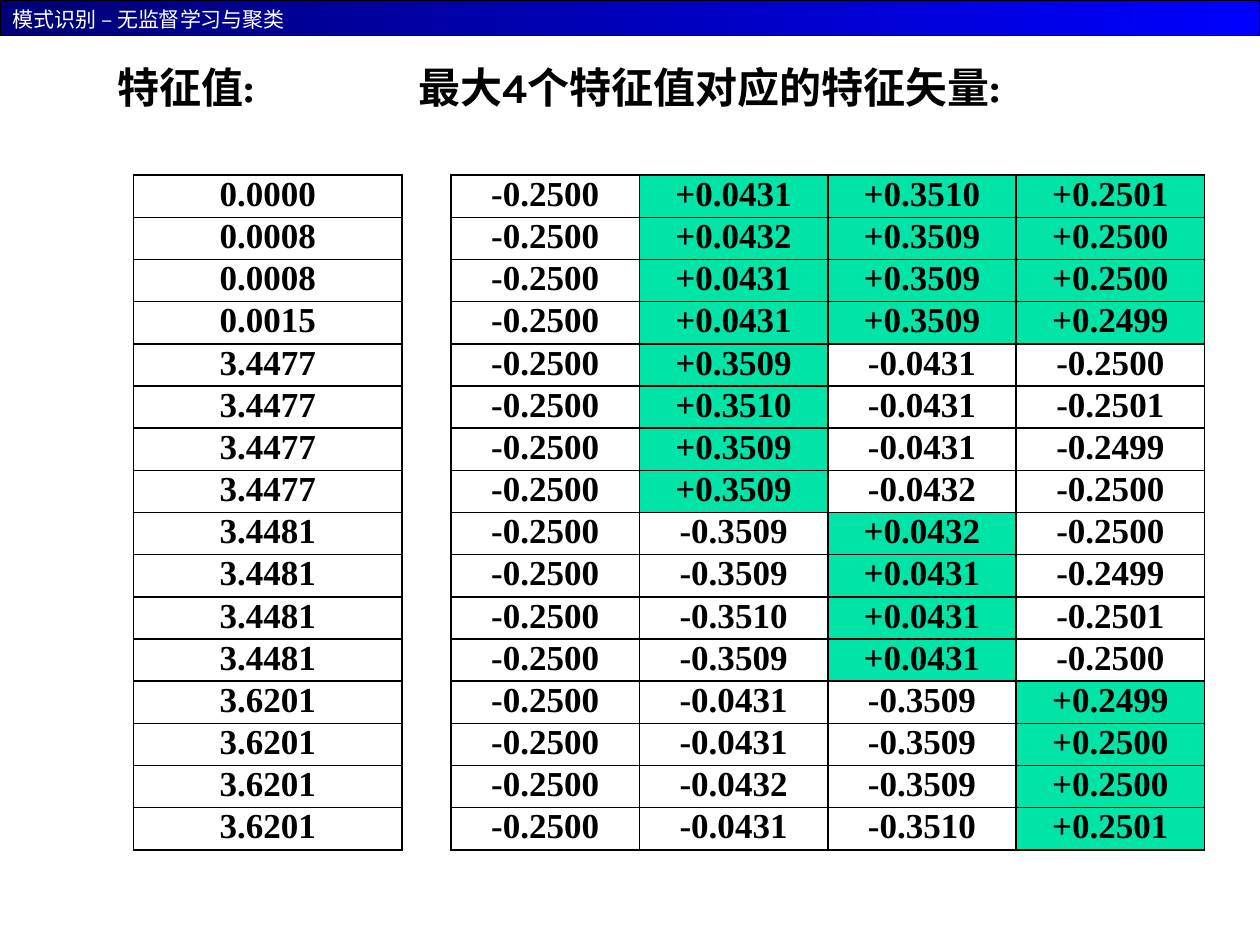
"""Build the slide of eigenvalues and their leading eigenvectors."""
from lxml import etree
from pptx import Presentation
from pptx.dml.color import RGBColor
from pptx.enum.shapes import MSO_SHAPE
from pptx.enum.text import MSO_ANCHOR, MSO_AUTO_SIZE, PP_ALIGN
from pptx.oxml.ns import qn
from pptx.util import Inches, Pt

RECTANGLE = MSO_SHAPE.RECTANGLE
MIDDLE = MSO_ANCHOR.MIDDLE
TOP = MSO_ANCHOR.TOP
NO_AUTOFIT = MSO_AUTO_SIZE.NONE
LEFT, CENTER = PP_ALIGN.LEFT, PP_ALIGN.CENTER

BLACK = RGBColor(0x00, 0x00, 0x00)
WHITE = RGBColor(0xFF, 0xFF, 0xFF)
NAVY = RGBColor(0x00, 0x00, 0x76)
BLUE = RGBColor(0x00, 0x00, 0xFF)
GREEN = RGBColor(0x00, 0xE4, 0xA8)

HEADER = [("模式识别 ", "DejaVu Sans"), ("– ", "Noto Sans CJK SC"),
          ("无监督学习与聚类", "DejaVu Sans")]
HEADINGS = ["特征值:".replace(":", ":"), "最大4个特征值对应的特征矢量:"]
EIGENVALUES = """
0.0000 0.0008 0.0008 0.0015
3.4477 3.4477 3.4477 3.4477
3.4481 3.4481 3.4481 3.4481
3.6201 3.6201 3.6201 3.6201
""".split()
EIGENVECTORS = """
-0.2500 +0.0431 +0.3510 +0.2501
-0.2500 +0.0432 +0.3509 +0.2500
-0.2500 +0.0431 +0.3509 +0.2500
-0.2500 +0.0431 +0.3509 +0.2499
-0.2500 +0.3509 -0.0431 -0.2500
-0.2500 +0.3510 -0.0431 -0.2501
-0.2500 +0.3509 -0.0431 -0.2499
-0.2500 +0.3509 -0.0432 -0.2500
-0.2500 -0.3509 +0.0432 -0.2500
-0.2500 -0.3509 +0.0431 -0.2499
-0.2500 -0.3510 +0.0431 -0.2501
-0.2500 -0.3509 +0.0431 -0.2500
-0.2500 -0.0431 -0.3509 +0.2499
-0.2500 -0.0431 -0.3509 +0.2500
-0.2500 -0.0432 -0.3509 +0.2500
-0.2500 -0.0431 -0.3510 +0.2501
""".strip().splitlines()

TABLES = [
    (1.06, 2.13, 0.08, [[value] for value in EIGENVALUES]),
    (3.58, 5.98, 0.07, [line.split() for line in EIGENVECTORS]),
]
TABLE_TOP, TABLE_HEIGHT = 1.39, 5.36
HEADING_INSET, HEADING_TAB = 0.5, 2.39


def add_span(para, text, font_name, size, color, bold=False):
    span = para.add_run()
    span.text = text
    font = span.font
    font.name, font.size, font.bold = font_name, Pt(size), bold
    font.color.rgb = color


def add_borders(cell):
    properties = cell._tc.get_or_add_tcPr()
    for index, side in enumerate(("lnL", "lnR", "lnT", "lnB")):
        line = etree.Element(qn(f"a:{side}"), w=str(Pt(1)))
        fill = etree.SubElement(line, qn("a:solidFill"))
        etree.SubElement(fill, qn("a:srgbClr"), val=str(BLACK))
        properties.insert(index, line)


def add_grid(page, left, width, inset, rows):
    columns = len(rows[0])
    frame = page.shapes.add_table(len(rows), columns, Inches(left), Inches(TABLE_TOP),
                                  Inches(width), Inches(TABLE_HEIGHT))
    table = frame.table
    table.first_row = table.horz_banding = False
    for column in table.columns:
        column.width = Inches(width / columns)
    for row, values in zip(table.rows, rows):
        row.height = Inches(TABLE_HEIGHT / len(rows))
        for cell, value in zip(row.cells, values):
            cell.margin_left = cell.margin_right = Inches(inset)
            cell.margin_top = cell.margin_bottom = 0
            cell.vertical_anchor = TOP
            if value.startswith("+"):
                cell.fill.solid()
                cell.fill.fore_color.rgb = GREEN
            else:
                cell.fill.background()
            add_borders(cell)
            para = cell.text_frame.paragraphs[0]
            para.alignment = CENTER
            add_span(para, value, "Times New Roman", 20, BLACK, True)


def add_header(page, width):
    bar = page.shapes.add_shape(RECTANGLE, 0, 0, width, Inches(0.28))
    bar.shadow.inherit = False
    bar.fill.gradient()
    bar.fill.gradient_angle = 0
    for stop, color, position in zip(bar.fill.gradient_stops, (NAVY, BLUE), (0, 1)):
        stop.color.rgb = color
        stop.position = position
    bar.line.color.rgb = BLACK
    bar.line.width = Pt(0.75)
    box = page.shapes.add_textbox(0, 0, Inches(3.58), Inches(0.3))
    box.text_frame.word_wrap = True
    box.text_frame.vertical_anchor = MIDDLE
    for text, font_name in HEADER:
        add_span(box.text_frame.paragraphs[0], text, font_name, 12, WHITE)


def format_title(title):
    title.left, title.top = Inches(0.43), Inches(0.44)
    title.width, title.height = Inches(9.37), Inches(0.5)
    frame = title.text_frame
    frame.auto_size = NO_AUTOFIT
    frame.word_wrap = True
    frame.vertical_anchor = MIDDLE
    frame.margin_left = Inches(HEADING_INSET)
    para = frame.paragraphs[0]
    para.alignment = LEFT
    tabs = etree.SubElement(para._p.get_or_add_pPr(), qn("a:tabLst"))
    etree.SubElement(tabs, qn("a:tab"), pos=str(Inches(HEADING_TAB)), algn="l")
    add_span(para, "\t".join(HEADINGS), "Karla", 24, BLACK, True)


deck = Presentation()
deck.slide_width, deck.slide_height = Inches(10), Inches(7.5)
page = deck.slides.add_slide(deck.slide_layouts[5])
add_header(page, deck.slide_width)
format_title(page.shapes.title)
for left, width, inset, rows in TABLES:
    add_grid(page, left, width, inset, rows)
deck.save("out.pptx")
